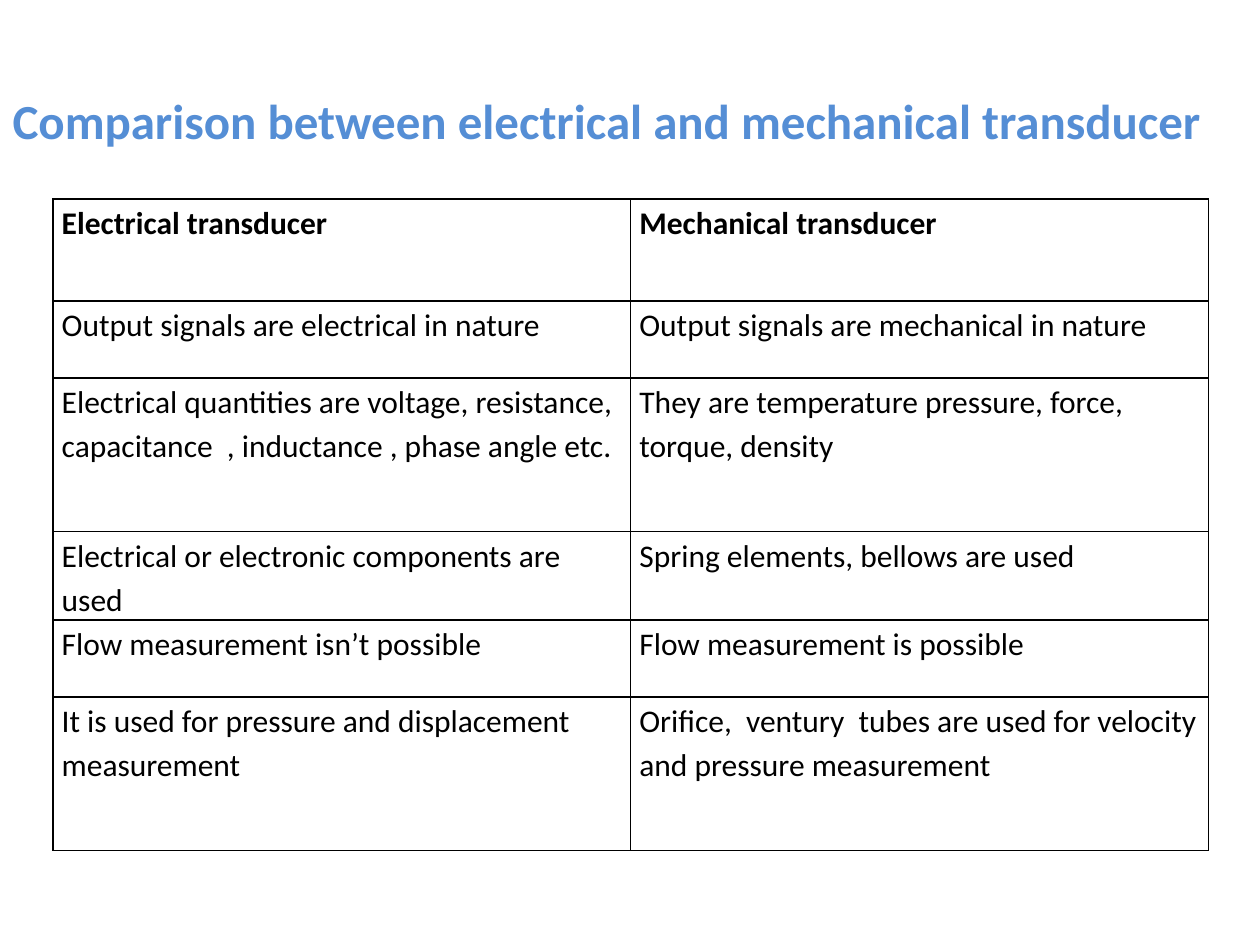
from lxml import etree
from pptx import Presentation
from pptx.dml.color import RGBColor
from pptx.enum import text
from pptx.oxml.ns import qn
from pptx.util import Inches, Pt

FONT = "Calibri"
ROWS = [
    (0.81, "Electrical transducer", "Mechanical transducer"),
    (0.61, "Output signals are electrical in nature",
     "Output signals are mechanical in nature"),
    (1.22, "Electrical quantities are voltage, resistance, "
     "capacitance  , inductance , phase angle etc.",
     "They are temperature pressure, force, torque, density"),
    (0.61, "Electrical or electronic components are used",
     "Spring elements, bellows are used"),
    (0.61, "Flow measurement isn’t possible", "Flow measurement is possible"),
    (1.22, "It is used for pressure and displacement measurement",
     "Orifice,  ventury  tubes are used for velocity and pressure measurement"),
]


def rgb(color):
    return RGBColor.from_string(color)


def set_font(p, size, color, bold):
    p.font.name, p.font.size, p.font.bold = FONT, Pt(size), bold
    p.font.color.rgb = rgb(color)


def set_borders(cell, color, width):
    """Draw all four sides of a cell; lines must precede the fill in tcPr."""
    tcPr = cell._tc.get_or_add_tcPr()
    for i, side in enumerate(("a:lnL", "a:lnR", "a:lnT", "a:lnB")):
        ln = etree.Element(qn(side), w=str(Pt(width)))
        fill = etree.SubElement(ln, qn("a:solidFill"))
        etree.SubElement(fill, qn("a:srgbClr"), val=color)
        tcPr.insert(i, ln)


def place_title(slide, left, top, width, height):
    title = slide.shapes.title
    title.left, title.top, title.width, title.height = left, top, width, height
    tf = title.text_frame
    tf.text = "Comparison between electrical and mechanical transducer"
    tf.word_wrap = True
    tf.auto_size = text.MSO_AUTO_SIZE.NONE
    tf.vertical_anchor = text.MSO_ANCHOR.TOP
    p = tf.paragraphs[0]
    p.alignment = text.PP_ALIGN.LEFT
    set_font(p, 28, "558ED5", True)


def fill_cell(cell, words, bold):
    cell.margin_left = cell.margin_right = Inches(0.07)
    cell.margin_top = cell.margin_bottom = 0
    cell.fill.background()
    set_borders(cell, "000000", 1)
    cell.text = words
    p = cell.text_frame.paragraphs[0]
    p.line_spacing = 1.15
    set_font(p, 18, "000000", bold)


def add_comparison(slide, left, top, width):
    height = Inches(sum(row[0] for row in ROWS))
    table = slide.shapes.add_table(len(ROWS), 2, left, top, width, height).table
    table.horz_banding = False
    table.first_row = False
    for r, (row_height, *cells) in enumerate(ROWS):
        table.rows[r].height = Inches(row_height)
        for c, words in enumerate(cells):
            fill_cell(table.cell(r, c), words, bold=r == 0)


def main():
    prs = Presentation()
    prs.slide_width, prs.slide_height = Inches(10), Inches(7.5)
    slide = prs.slides.add_slide(prs.slide_layouts.get_by_name("Title Only"))
    place_title(slide, 0, Inches(0.67), Inches(10.33), Inches(0.98))
    add_comparison(slide, Inches(0.42), Inches(1.58), Inches(9.17))
    prs.save("out.pptx")


if __name__ == "__main__":
    main()
